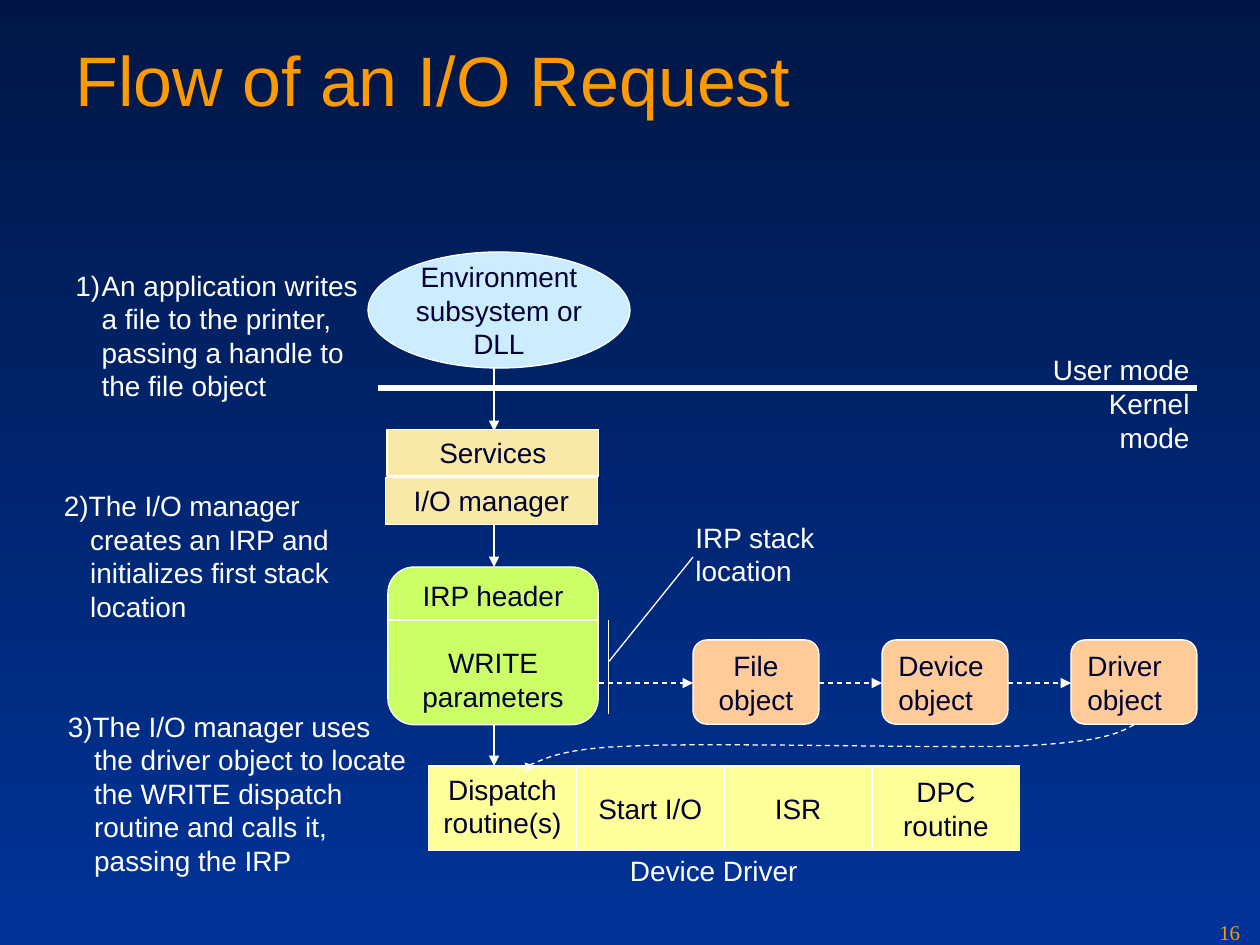
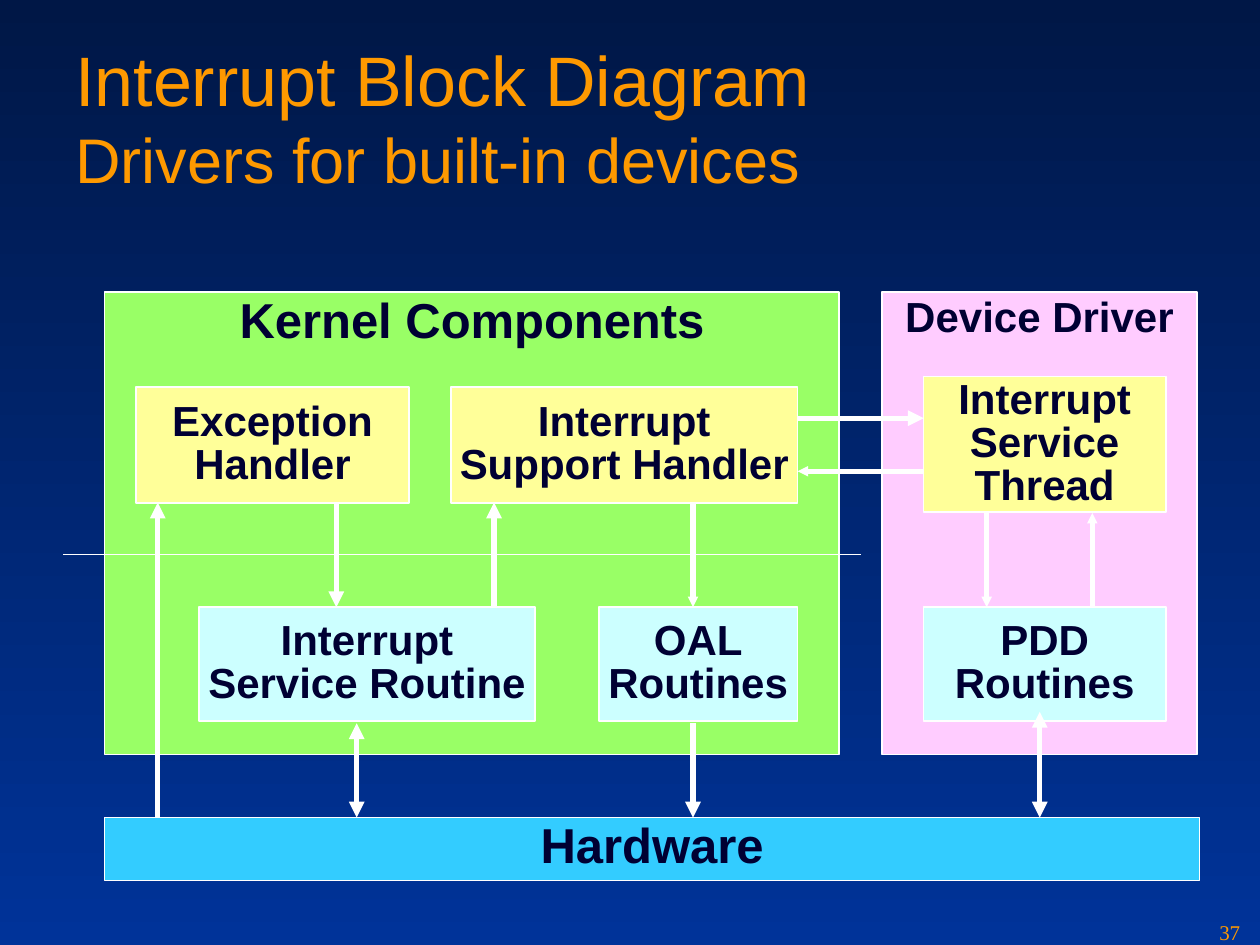
"""Build two slides on I/O request flow and interrupt handling."""
from dataclasses import dataclass, field
from typing import Optional

from lxml import etree
from pptx import Presentation
from pptx.dml.color import RGBColor
from pptx.enum.dml import MSO_LINE
from pptx.enum.shapes import MSO_CONNECTOR, MSO_SHAPE
from pptx.enum.text import MSO_ANCHOR, MSO_AUTO_SIZE, PP_ALIGN
from pptx.oxml.ns import qn
from pptx.util import Cm, Pt

RECTANGLE, ROUNDED, OVAL = MSO_SHAPE.RECTANGLE, MSO_SHAPE.ROUNDED_RECTANGLE, MSO_SHAPE.OVAL
TOP, MIDDLE = MSO_ANCHOR.TOP, MSO_ANCHOR.MIDDLE
LEFT, CENTER, RIGHT = PP_ALIGN.LEFT, PP_ALIGN.CENTER, PP_ALIGN.RIGHT
FIT_SHAPE, FIT_NONE = MSO_AUTO_SIZE.SHAPE_TO_FIT_TEXT, MSO_AUTO_SIZE.NONE
STRAIGHT = MSO_CONNECTOR.STRAIGHT
DASH = MSO_LINE.DASH


@dataclass(frozen=True)
class Theme:
    """Colours, fonts, type sizes and line widths of the deck."""
    night: str = "001746"
    royal: str = "003399"
    orange: str = "FE9900"
    ink: str = "000033"
    white: str = "FFFFFF"
    sky: str = "CCECFF"
    sand: str = "F9E9A7"
    lime: str = "CCFF66"
    peach: str = "FFCC99"
    yellow: str = "FFFF99"
    green: str = "99FF66"
    pink: str = "FFCCFF"
    ice: str = "CCFFFF"
    azure: str = "33CCFF"
    sans: str = "Arial"
    serif: str = "Times New Roman"
    title: int = 40
    subtitle: int = 36
    heading: int = 28
    block: int = 24
    body: int = 16
    number: int = 12
    hairline: float = 0.75
    outline: float = 1
    heavy: float = 3


THEME = Theme()


@dataclass(frozen=True)
class Style:
    """Type style of a box."""
    size: int = THEME.body
    colour: str = THEME.ink
    face: str = THEME.sans
    bold: bool = False
    spacing: Optional[float] = None
    outline: float = THEME.hairline


LABEL = Style()
NOTE = Style(colour=THEME.white)
TITLE = Style(THEME.title, THEME.orange)
NUMBER = Style(THEME.number, THEME.orange, THEME.serif)
BLOCK = Style(THEME.block, bold=True, spacing=0.85, outline=THEME.outline)
HEADING = Style(THEME.heading, bold=True, spacing=0.85, outline=THEME.outline)


@dataclass(frozen=True)
class Box:
    """A text block in centimetres, with an outline when it has a fill."""
    text: str
    left: float
    top: float
    width: float
    height: float
    fill: Optional[str] = None
    style: Style = LABEL
    outline: MSO_SHAPE = RECTANGLE
    anchor: MSO_ANCHOR = MIDDLE
    align: PP_ALIGN = CENTER
    wrap: bool = False
    grow: bool = False
    gap: float = 0


@dataclass(frozen=True)
class Line:
    """A straight line in centimetres, with optional arrowheads."""
    x1: float
    y1: float
    x2: float
    y2: float
    width: float = THEME.hairline
    ends: tuple = field(default=())
    dashed: bool = False
    head: str = "med"


END = ("tailEnd",)
BOTH = ("headEnd", "tailEnd")


def rgb(colour: str) -> RGBColor:
    """Turn a hex string into a colour."""
    return RGBColor.from_string(colour)


def draw_box(slide, box: Box):
    """Draw a filled shape or a plain text box and return it."""
    place = [Cm(length) for length in (box.left, box.top, box.width, box.height)]
    if box.fill:
        shape = slide.shapes.add_shape(box.outline, *place)
        shape.shadow.inherit = False
        shape.fill.solid()
        shape.fill.fore_color.rgb = rgb(box.fill)
        shape.line.color.rgb = rgb(THEME.white)
        shape.line.width = Pt(box.style.outline)
    else:
        shape = slide.shapes.add_textbox(*place)
    frame = shape.text_frame
    frame.text = box.text
    frame.word_wrap = box.wrap
    frame.auto_size = FIT_SHAPE if box.grow else FIT_NONE
    frame.vertical_anchor = box.anchor
    for index, para in enumerate(frame.paragraphs):
        para.alignment = box.align
        if box.style.spacing:
            para.line_spacing = box.style.spacing
        if index == 1 and box.gap:
            para.space_before = Pt(box.gap)
        for span in para.runs:
            span.font.size = Pt(box.style.size)
            span.font.name = box.style.face
            span.font.bold = box.style.bold
            span.font.color.rgb = rgb(box.style.colour)
    return shape


def draw_note(slide, text: str, left: float, top: float, width: float, height: float,
              align: PP_ALIGN = LEFT):
    """Draw white text that sits directly on the background."""
    return draw_box(slide, Box(text, left, top, width, height, style=NOTE,
                               anchor=TOP, align=align, grow=True))


def draw_step(slide, text: str, left: float, top: float, width: float, height: float,
              numbered: bool = False) -> None:
    """Draw a numbered step with a hanging indent."""
    para = draw_note(slide, text, left, top, width, height).text_frame.paragraphs[0]
    properties = para._p.get_or_add_pPr()
    properties.set("marL", str(Cm(0.53)))
    properties.set("indent", str(-Cm(0.53)))
    if numbered:
        colour = etree.SubElement(properties, qn("a:buClr"))
        etree.SubElement(colour, qn("a:srgbClr"), val=THEME.white)
        etree.SubElement(properties, qn("a:buAutoNum"), type="arabicParenR")


def style_line(shape, width: float, ends: tuple, dashed: bool, head: str = "med") -> None:
    """Give a line its colour, width, dash and arrowheads."""
    shape.line.color.rgb = rgb(THEME.white)
    shape.line.width = Pt(width)
    if dashed:
        shape.line.dash_style = DASH
    stroke = shape._element.spPr.find(qn("a:ln"))
    for end in ends:
        etree.SubElement(stroke, qn(f"a:{end}"), type="triangle", w=head, len=head)


def draw_line(slide, line: Line) -> None:
    """Draw a straight connector."""
    points = [Cm(length) for length in (line.x1, line.y1, line.x2, line.y2)]
    connector = slide.shapes.add_connector(STRAIGHT, *points)
    style_line(connector, line.width, line.ends, line.dashed, line.head)
    etree.SubElement(connector._element.spPr, qn("a:effectLst"))


def draw_curve(slide, points: list, steps: int = 10) -> None:
    """Draw a dashed arrow along a chain of cubic curves."""
    trail = []
    for first in range(0, len(points) - 1, 3):
        corners = points[first:first + 4]
        for step in range(1, steps + 1):
            t = step / steps
            weights = ((1 - t) ** 3, 3 * t * (1 - t) ** 2, 3 * t * t * (1 - t), t ** 3)
            trail.append(tuple(
                Cm(sum(weight * corner[axis] for weight, corner in zip(weights, corners)))
                for axis in (0, 1)))
    builder = slide.shapes.build_freeform(Cm(points[0][0]), Cm(points[0][1]))
    builder.add_line_segments(trail, close=False)
    curve = builder.convert_to_shape()
    curve.shadow.inherit = False
    curve.fill.background()
    style_line(curve, THEME.hairline, END, True)


def add_page(deck, title: str, number: int):
    """Add a blank slide with its title and slide number."""
    page = deck.slides.add_slide(deck.slide_layouts[6])
    heading = draw_box(page, Box(title, 1.27, 0.61, 22.86, 3.18, style=TITLE,
                                 anchor=TOP, align=LEFT, wrap=True))
    for span in heading.text_frame.paragraphs[0].runs[1:]:
        span.font.size = Pt(THEME.subtitle)
    draw_box(page, Box(str(number), 24.33, 18.42, 1.07, 0.64, style=NUMBER,
                       anchor=TOP, align=LEFT, wrap=True))
    return page


def build_request_flow(deck) -> None:
    """Build the slide on the path of a write request."""
    page = add_page(deck, "Flow of an I/O Request", 16)
    boxes = [
        Box("Environment\vsubsystem or\vDLL", 7.42, 5.08, 5.28, 2.34, THEME.sky, outline=OVAL),
        Box("Services", 7.8, 8.66, 4.27, 0.94, THEME.sand, anchor=TOP, wrap=True, grow=True),
        Box("I/O manager", 7.77, 9.63, 4.27, 0.94, THEME.sand, anchor=TOP, wrap=True, grow=True),
        Box("IRP header\nWRITE\nparameters", 7.82, 11.43, 4.24, 3.18, THEME.lime,
            outline=ROUNDED, gap=19),
    ]
    objects = [("File\vobject", CENTER), ("Device\vobject", LEFT), ("Driver\vobject", LEFT)]
    boxes += [Box(text, 13.97 + 3.81 * index, 12.9, 2.54, 1.7, THEME.peach,
                  outline=ROUNDED, align=align)
              for index, (text, align) in enumerate(objects)]
    routines = [("Dispatch\vroutine(s)", TOP), ("Start I/O", MIDDLE),
                ("ISR", MIDDLE), ("DPC routine", MIDDLE)]
    boxes += [Box(text, 8.64 + 2.98 * index, 15.44, 2.98, 1.7, THEME.yellow,
                  anchor=anchor, wrap=True)
              for index, (text, anchor) in enumerate(routines)]
    for box in boxes:
        draw_box(page, box)

    lines = [Line(7.82, 12.5, 12.07, 12.5), Line(12.27, 12.5, 12.27, 14.4),
             Line(13.97, 11.23, 12.27, 13.34), Line(7.62, 7.82, 24.13, 7.82, THEME.heavy)]
    lines += [Line(start, 13.77, end, 13.77, ends=END, dashed=True)
              for start, end in ((12.07, 13.97), (16.51, 17.78), (20.32, 21.59))]
    lines += [Line(9.96, start, 9.96, end, ends=END)
              for start, end in ((7.42, 8.69), (10.59, 11.43), (14.61, 15.44))]
    for line in lines:
        draw_line(page, line)
    draw_curve(page, [
        (22.86, 14.61), (22.56, 14.78), (22.23, 14.96), (20.52, 15.04), (18.85, 15.09),
        (14.35, 14.96), (12.7, 15.04), (11.05, 15.09), (10.9, 15.39), (10.59, 15.44),
        (10.26, 15.52), (10.54, 15.49), (10.8, 15.44)])

    draw_note(page, "IRP stack\vlocation", 13.77, 10.36, 2.92, 1.63)
    draw_note(page, "Device Driver", 12.45, 17.09, 3.89, 0.94)
    draw_note(page, "User mode\nKernel mode", 20.55, 6.99, 3.68, 1.63, RIGHT)
    draw_step(page, "An application writes\va file to the printer,\vpassing a handle to\v"
              "the file object", 1.27, 5.28, 6.2, 2.97, numbered=True)
    draw_step(page, "2)The I/O manager\vcreates an IRP and\vinitializes first stack\vlocation",
              1.04, 9.73, 6.5, 2.97)
    draw_step(page, "3)The I/O manager uses\vthe driver object to locate\vthe WRITE dispatch\v"
              "routine and calls it,\vpassing the IRP", 1.12, 14.17, 7.67, 3.66)


def build_interrupt_blocks(deck) -> None:
    """Build the slide on interrupt handling blocks."""
    page = add_page(deck, "Interrupt Block Diagram\vDrivers for built-in devices", 37)
    boxes = [
        Box("Kernel Components", 2.11, 5.89, 14.81, 9.32, THEME.green, HEADING,
            anchor=TOP, wrap=True),
        Box("Device Driver", 17.78, 5.89, 6.35, 9.32, THEME.pink, BLOCK, anchor=TOP),
        Box("Hardware", 2.11, 16.48, 22.07, 1.27, THEME.azure, HEADING,
            anchor=TOP, wrap=True, grow=True),
        Box("Interrupt\nService\nThread", 18.62, 7.59, 4.88, 2.74, THEME.yellow, BLOCK),
    ]
    handlers = [("Exception\nHandler", 2.74, 5.51), ("Interrupt\nSupport Handler", 9.09, 6.99)]
    boxes += [Box(text, left, 7.8, width, 2.34, THEME.yellow, BLOCK)
              for text, left, width in handlers]
    routines = [("Interrupt\nService Routine", 4.01, 6.78), ("OAL\nRoutines", 12.07, 4.01),
                ("PDD\nRoutines", 18.62, 4.88)]
    boxes += [Box(text, left, 12.24, width, 2.29, THEME.ice, BLOCK)
              for text, left, width in routines]
    for box in boxes:
        draw_box(page, box)

    draw_line(page, Line(1.27, 11.18, 17.35, 11.18, THEME.outline))
    vertical = [
        (3.18, 16.48, 10.13, END, "med"), (6.78, 10.13, 12.24, END, "med"),
        (7.19, 14.58, 16.48, BOTH, "med"), (9.96, 12.24, 10.13, END, "med"),
        (13.97, 10.13, 12.24, END, "sm"), (13.97, 14.58, 16.48, END, "med"),
        (19.89, 10.34, 12.24, END, "sm"), (22.02, 12.24, 10.34, END, "sm"),
        (20.96, 14.35, 16.48, BOTH, "med"),
    ]
    for x, start, end, ends, head in vertical:
        draw_line(page, Line(x, start, x, end, THEME.heavy, ends, head=head))
    draw_line(page, Line(16.08, 8.43, 18.62, 8.43, THEME.heavy, END))
    draw_line(page, Line(18.62, 9.5, 16.08, 9.5, THEME.heavy, END, head="sm"))


def main() -> None:
    """Build and save the deck."""
    deck = Presentation()
    deck.slide_width, deck.slide_height = Cm(25.4), Cm(19.05)
    backdrop = deck.slide_master.background.fill
    backdrop.gradient()
    backdrop.gradient_angle = 270
    for stop, colour in zip(backdrop.gradient_stops, (THEME.night, THEME.royal)):
        stop.color.rgb = rgb(colour)
    build_request_flow(deck)
    build_interrupt_blocks(deck)
    deck.save("out.pptx")


if __name__ == "__main__":
    main()
